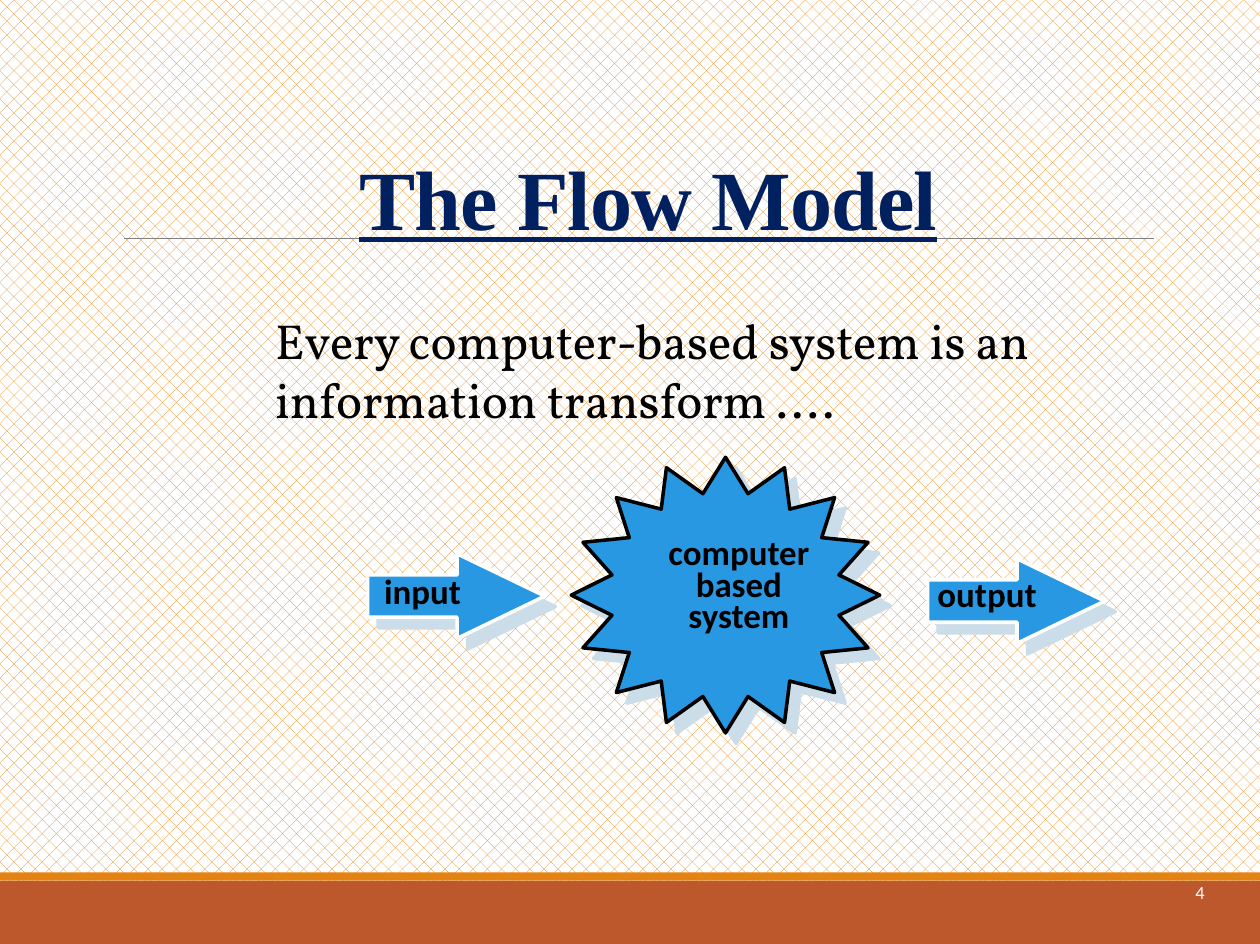
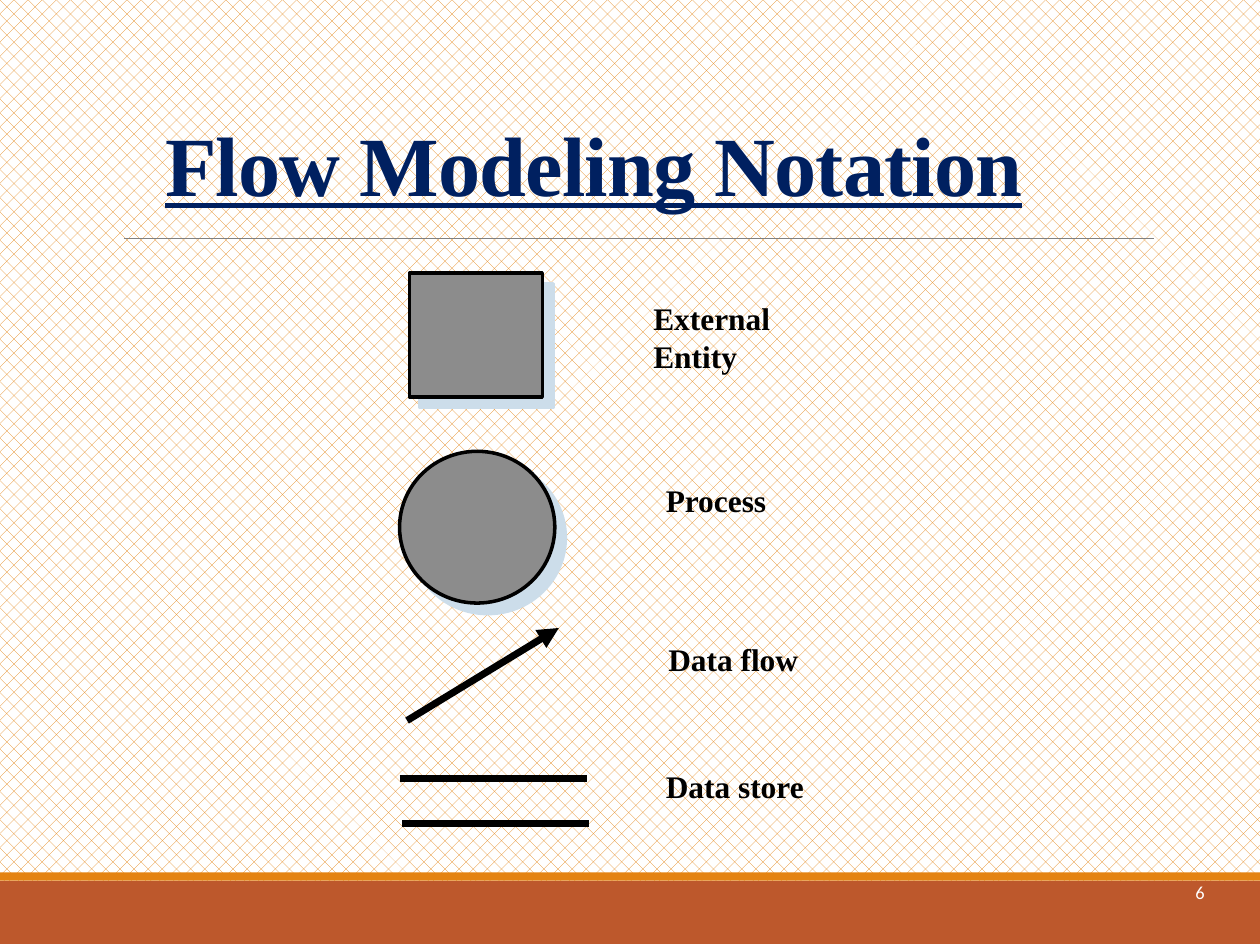
from dataclasses import dataclass
from typing import Any, Optional

from lxml.etree import SubElement
from pptx import Presentation
from pptx.dml.color import RGBColor
from pptx.enum.dml import MSO_PATTERN
from pptx.enum.shapes import MSO_CONNECTOR, MSO_SHAPE
from pptx.enum.text import MSO_ANCHOR, MSO_AUTO_SIZE, PP_ALIGN
from pptx.oxml.ns import qn
from pptx.util import Cm, Pt

Box = tuple[float, float, float, float]  # left, top, width, height in cm


@dataclass(frozen=True)
class Theme:
    orange: str = "E48312"
    rust: str = "BD582C"
    navy: str = "002060"
    blue: str = "2998E3"
    gray: str = "8C8C8C"
    rule: str = "808080"
    shadow: str = "CCDDEA"
    white: str = "FFFFFF"
    black: str = "000000"
    serif: str = "Times New Roman"
    sans: str = "Calibri"
    statement_font: str = "Vollkorn"
    title_size: float = 48
    statement_size: float = 28
    diagram_size: float = 19.9
    notation_size: float = 17.9
    number_size: float = 10.5


THEME = Theme()


@dataclass(frozen=True)
class TextStyle:
    font: str
    size: float
    color: str = THEME.black
    bold: bool = False
    underline: bool = False
    alignment: PP_ALIGN = PP_ALIGN.LEFT
    line_spacing: Optional[float] = None


@dataclass(frozen=True)
class Label:
    lines: tuple[str, ...]
    box: Box
    style: TextStyle
    wrap: bool = False
    anchor: MSO_ANCHOR = MSO_ANCHOR.TOP


@dataclass(frozen=True)
class Symbol:
    kind: MSO_SHAPE
    box: Box
    fill: str
    line: Optional[str] = THEME.black
    adjustments: tuple[float, ...] = ()
    shadow: bool = True


@dataclass(frozen=True)
class Stroke:
    start: tuple[float, float]
    end: tuple[float, float]
    color: str = THEME.black
    width: float = 4
    arrow: bool = False


@dataclass(frozen=True)
class Page:
    title: str
    title_box: Box
    title_alignment: PP_ALIGN
    number: str
    items: tuple[Any, ...]


STATEMENT = TextStyle(THEME.statement_font, THEME.statement_size)
FLOW = TextStyle(THEME.sans, THEME.diagram_size, bold=True)
CORE = TextStyle(THEME.sans, THEME.diagram_size, bold=True,
                 alignment=PP_ALIGN.CENTER, line_spacing=0.75)
NOTATION = TextStyle(THEME.serif, THEME.notation_size, bold=True)
NUMBER = TextStyle(THEME.sans, THEME.number_size, THEME.white, alignment=PP_ALIGN.RIGHT)

SLIDE_WIDTH, SLIDE_HEIGHT = 25.32, 18.97
BAND_TOP, STRIPE_HEIGHT = 17.7, 0.17

FURNITURE = (
    Symbol(MSO_SHAPE.RECTANGLE, (0, BAND_TOP, SLIDE_WIDTH, SLIDE_HEIGHT - BAND_TOP),
           THEME.rust, None, shadow=False),
    Symbol(MSO_SHAPE.RECTANGLE, (0, BAND_TOP - STRIPE_HEIGHT, SLIDE_WIDTH, STRIPE_HEIGHT),
           THEME.orange, None, shadow=False),
    Stroke((2.49, 4.8), (23.19, 4.8), THEME.rule, 0.5),
)


def flow_arrow(left: float, top: float) -> Symbol:
    return Symbol(MSO_SHAPE.RIGHT_ARROW, (left, top, 3.56, 1.7),
                  THEME.blue, THEME.white, (0.5, 1.036))


PAGES = (
    Page("The Flow Model", (3.12, 3.12, 19.81, 1.98), PP_ALIGN.CENTER, "4", (
        Label(("Every computer-based system is an", "information transform ...."),
              (5.28, 6.12, 17.53, 2.57), STATEMENT),
        Symbol(MSO_SHAPE.STAR_16_POINT, (11.48, 9.19, 6.2, 5.54), THEME.blue,
               adjustments=(0.375,)),
        flow_arrow(7.39, 11.13),
        flow_arrow(18.64, 11.23),
        Label(("computer", "based", "system"), (13.06, 10.74, 3.58, 2.08), CORE),
        Label(("input",), (7.47, 11.33, 2.06, 1.09), FLOW),
        Label(("output",), (18.59, 11.38, 2.51, 1.09), FLOW),
    )),
    Page("Flow Modeling Notation", (3.07, 1.6, 17.88, 3.66), PP_ALIGN.LEFT, "6", (
        Symbol(MSO_SHAPE.RECTANGLE, (8.23, 5.49, 2.67, 2.49), THEME.gray),
        Symbol(MSO_SHAPE.OVAL, (8.03, 9.07, 3.12, 3.05), THEME.gray),
        Stroke((8.18, 14.48), (11.23, 12.62), arrow=True),
        Stroke((8.03, 15.65), (11.79, 15.65)),
        Stroke((8.08, 16.54), (11.84, 16.54)),
        Label(("External Entity",), (12.88, 5.89, 4.62, 0.94), NOTATION, wrap=True),
        Label(("Process",), (13.13, 9.55, 2.67, 0.94), NOTATION),
        Label(("Data flow",), (13.18, 12.73, 3.15, 1.02), NOTATION),
        Label(("Data store",), (13.13, 15.29, 3.43, 0.94), NOTATION),
    )),
)


def set_attributes(target: Any, formats: dict[str, Any]) -> None:
    for name, value in formats.items():
        setattr(target, name, value)


def write_lines(text_frame: Any, lines: tuple[str, ...], style: TextStyle) -> None:
    for index, line in enumerate(lines):
        paragraph = text_frame.paragraphs[0] if index == 0 else text_frame.add_paragraph()
        set_attributes(paragraph, {"alignment": style.alignment,
                                   "line_spacing": style.line_spacing})
        run = paragraph.add_run()
        run.text = line
        set_attributes(run.font, {"name": style.font, "size": Pt(style.size),
                                  "bold": style.bold, "underline": style.underline})
        run.font.color.rgb = RGBColor.from_string(style.color)


def draw_label(slide: Any, label: Label) -> None:
    text_box = slide.shapes.add_textbox(*map(Cm, label.box))
    set_attributes(text_box.text_frame, {"word_wrap": label.wrap,
                                         "vertical_anchor": label.anchor})
    write_lines(text_box.text_frame, label.lines, label.style)


def add_shadow(shape: Any) -> None:
    effects = shape.element.spPr.find(qn("a:effectLst"))
    shadow = SubElement(effects, qn("a:outerShdw"), blurRad="0", dist=str(Pt(8.5)),
                        dir=str(45 * 60000), algn="ctr", rotWithShape="0")
    SubElement(shadow, qn("a:srgbClr"), val=THEME.shadow)


def draw_symbol(slide: Any, symbol: Symbol) -> Any:
    shape = slide.shapes.add_shape(symbol.kind, *map(Cm, symbol.box))
    for index, value in enumerate(symbol.adjustments):
        shape.adjustments[index] = value
    shape.fill.solid()
    shape.fill.fore_color.rgb = RGBColor.from_string(symbol.fill)
    if symbol.line:
        shape.line.color.rgb = RGBColor.from_string(symbol.line)
        shape.line.width = Pt(2)
    else:
        shape.line.fill.background()
    shape.shadow.inherit = False
    if symbol.shadow:
        add_shadow(shape)
    return shape


def draw_stroke(slide: Any, stroke: Stroke) -> Any:
    connector = slide.shapes.add_connector(
        MSO_CONNECTOR.STRAIGHT, *map(Cm, stroke.start + stroke.end))
    connector.line.color.rgb = RGBColor.from_string(stroke.color)
    connector.line.width = Pt(stroke.width)
    properties = connector.element.spPr
    if stroke.arrow:
        SubElement(properties.find(qn("a:ln")), qn("a:tailEnd"), type="triangle")
    SubElement(properties, qn("a:effectLst"))
    return connector


DRAWERS = {Label: draw_label, Symbol: draw_symbol, Stroke: draw_stroke}


def draw_title(slide: Any, page: Page) -> None:
    title = slide.shapes.title
    names = ("left", "top", "width", "height")
    set_attributes(title, dict(zip(names, map(Cm, page.title_box))))
    set_attributes(title.text_frame, {"vertical_anchor": MSO_ANCHOR.MIDDLE,
                                      "auto_size": MSO_AUTO_SIZE.SHAPE_TO_FIT_TEXT})
    style = TextStyle(THEME.serif, THEME.title_size, THEME.navy, True, True,
                      page.title_alignment, 0.85)
    write_lines(title.text_frame, (page.title,), style)
    for properties in title.element.iter(qn("a:rPr")):
        properties.set("spc", "-50")


def furnish_layout(layout: Any, slide: Any) -> None:
    """Set the pattern and move the bands and rule into the shared layout."""
    fill = layout.background.fill
    fill.patterned()
    fill.pattern = MSO_PATTERN.PERCENT_25
    fill.fore_color.rgb = RGBColor.from_string(THEME.orange)
    fill.back_color.rgb = RGBColor.from_string(THEME.white)
    for number, item in enumerate(FURNITURE, start=101):
        element = DRAWERS[type(item)](slide, item).element
        next(element.iter(qn("p:cNvPr"))).set("id", str(number))
        layout.shapes.element.append(element)


def main() -> None:
    presentation = Presentation()
    presentation.slide_width = Cm(SLIDE_WIDTH)
    presentation.slide_height = Cm(SLIDE_HEIGHT)
    layout = presentation.slide_layouts[5]

    # Slides, each from its page description
    for index, page in enumerate(PAGES):
        slide = presentation.slides.add_slide(layout)
        if index == 0:
            furnish_layout(layout, slide)
        draw_title(slide, page)
        draw_label(slide, Label((page.number,), (20.88, 17.3, 3.58, 1.27), NUMBER,
                                wrap=True, anchor=MSO_ANCHOR.MIDDLE))
        for item in page.items:
            DRAWERS[type(item)](slide, item)

    presentation.save("out.pptx")


if __name__ == "__main__":
    main()
